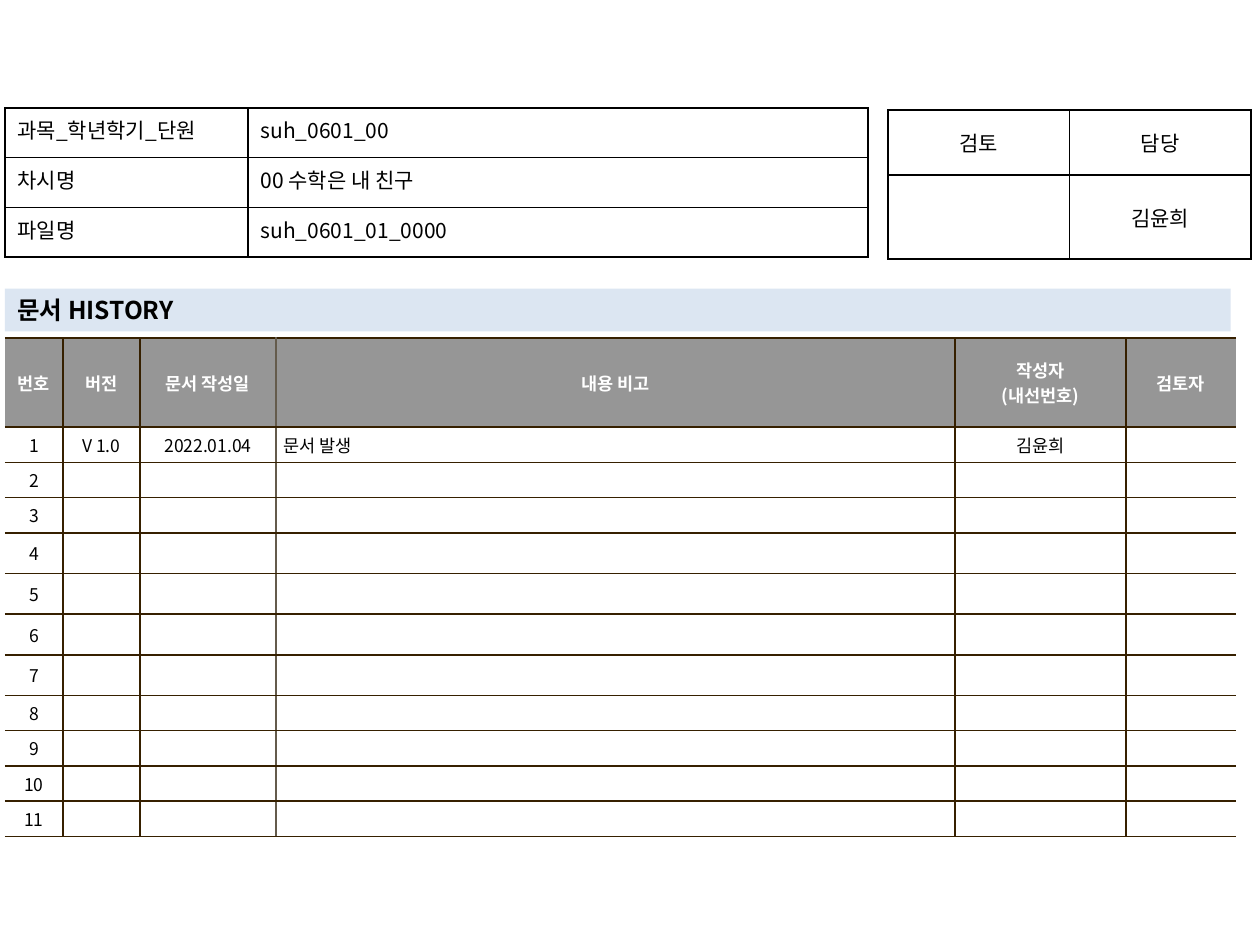
from lxml import etree
from pptx import Presentation
from pptx.dml.color import RGBColor
from pptx.enum.shapes import MSO_SHAPE
from pptx.enum.text import MSO_ANCHOR, PP_ALIGN
from pptx.oxml.ns import qn
from pptx.util import Cm, Pt

RECTANGLE = MSO_SHAPE.RECTANGLE
MIDDLE, TOP = MSO_ANCHOR.MIDDLE, MSO_ANCHOR.TOP
LEFT, CENTER, JUSTIFY = PP_ALIGN.LEFT, PP_ALIGN.CENTER, PP_ALIGN.JUSTIFY

BLACK = RGBColor(0x00, 0x00, 0x00)
WHITE = RGBColor(0xFF, 0xFF, 0xFF)
GRAY = RGBColor(0x96, 0x96, 0x96)
PALE_BLUE = RGBColor(0xDC, 0xE6, 0xF2)
BROWN = RGBColor(0x36, 0x20, 0x00)
LIGHT_BROWN = RGBColor(0x64, 0x5B, 0x4C)

FONT = "Noto Sans CJK KR"
BODY = {"size": Pt(12), "bold": False}
TITLE = {"size": Pt(14), "bold": True}
HISTORY_HEAD = {"size": Pt(10), "bold": True}
HISTORY_BODY = {"size": Pt(10), "bold": False}


def write(text_frame, text, formats, color=BLACK, align=LEFT):
    """Write one paragraph per line of text; an empty one keeps its size."""
    for index, line in enumerate(text.split("\n")):
        paragraph = text_frame.paragraphs[0] if index == 0 else text_frame.add_paragraph()
        paragraph.alignment = align
        if not line:
            end = etree.SubElement(paragraph._p, qn("a:endParaRPr"))
            end.set("sz", str(int(formats["size"].pt * 100)))
            continue
        run = paragraph.add_run()
        run.text = line
        for name, value in formats.items():
            setattr(run.font, name, value)
        run.font.color.rgb = color
        run.font.name = FONT
        east_asian = etree.SubElement(run._r.get_or_add_rPr(), qn("a:ea"))
        east_asian.set("typeface", FONT)


def set_borders(cell, left, right, top, bottom):
    """Draw the four sides of a cell; None leaves a side open."""
    properties = cell._tc.get_or_add_tcPr()
    sides = (("L", left), ("R", right), ("T", top), ("B", bottom))
    for index, (side, color) in enumerate(sides):
        line = etree.Element(qn("a:ln" + side), w=str(Pt(1)))
        if color is None:
            etree.SubElement(line, qn("a:noFill"))
        else:
            fill = etree.SubElement(line, qn("a:solidFill"))
            etree.SubElement(fill, qn("a:srgbClr"), val=str(color))
        properties.insert(index, line)


def add_plain_table(slide, left, top, widths, heights):
    """Add an unbanded table with the given column and row sizes in cm."""
    table = slide.shapes.add_table(
        len(heights), len(widths), Cm(left), Cm(top), Cm(sum(widths)), Cm(sum(heights))
    ).table
    table.first_row = table.horz_banding = False
    for column, width in zip(table.columns, widths):
        column.width = Cm(width)
    for row, height in zip(table.rows, heights):
        row.height = Cm(height)
    return table


def add_form_table(slide, left, top, widths, heights, texts, alignments, anchor):
    """Add a black-ruled form without fill."""
    table = add_plain_table(slide, left, top, widths, heights)
    for row, row_texts in enumerate(texts):
        for column, text in enumerate(row_texts):
            cell = table.cell(row, column)
            cell.fill.background()
            cell.vertical_anchor = anchor
            write(cell.text_frame, text, BODY, align=alignments[column])
            set_borders(cell, BLACK, BLACK, BLACK, BLACK)


def add_title_bar(slide, left, top, width, height):
    bar = slide.shapes.add_shape(RECTANGLE, Cm(left), Cm(top), Cm(width), Cm(height))
    bar.shadow.inherit = False
    bar.fill.solid()
    bar.fill.fore_color.rgb = PALE_BLUE
    bar.line.fill.background()
    bar.text_frame.word_wrap = True
    bar.text_frame.vertical_anchor = MIDDLE
    write(bar.text_frame, "문서 HISTORY", TITLE)


def add_history_table(slide, left, top):
    """Add the revision log: a header and eleven numbered rows."""
    widths = [1.17, 1.55, 2.74, 13.69, 3.45, 2.21]
    heights = [1.8] + [0.71] * 3 + [0.82] * 4 + [0.71] * 4
    rows = [
        ["번호", "버전", "문서 작성일", "내용 비고", "작성자\n(내선번호)", "검토자"],
        ["1", "V 1.0", "2022.01.04", "문서 발생", "김윤희", ""],
    ]
    rows += [[str(number)] + [""] * 5 for number in range(2, 12)]
    # Vertical rules from left to right; the outer sides stay open
    rules = [None, BROWN, BROWN, LIGHT_BROWN, BROWN, BROWN, None]

    table = add_plain_table(slide, left, top, widths, heights)
    for row, texts in enumerate(rows):
        is_head = row == 0
        for column, text in enumerate(texts):
            cell = table.cell(row, column)
            cell.fill.solid()
            cell.fill.fore_color.rgb = GRAY if is_head else WHITE
            cell.vertical_anchor = MIDDLE
            cell.margin_left = cell.margin_right = Cm(0.15)
            cell.margin_top = cell.margin_bottom = Cm(0.1)
            is_note = column == 3 and not is_head
            write(
                cell.text_frame,
                text,
                HISTORY_HEAD if is_head else HISTORY_BODY,
                WHITE if is_head else BLACK,
                LEFT if is_note else CENTER,
            )
            if is_note and text:
                note = cell.text_frame.paragraphs[0]._p.get_or_add_pPr()
                note.set("marL", str(Cm(0.48)))
                note.set("indent", str(-Cm(0.48)))
            set_borders(cell, rules[column], rules[column + 1], BROWN, BROWN)


def main():
    presentation = Presentation()
    presentation.slide_width, presentation.slide_height = Cm(25.4), Cm(19.05)
    slide = presentation.slides.add_slide(presentation.slide_layouts[6])

    # Revision log
    add_history_table(slide, 0.1, 6.81)

    # Approval box
    add_form_table(
        slide, 17.9, 2.22, [3.66, 3.66], [1.31, 1.69],
        [["검토", "담당"], ["", "김윤희"]], [CENTER, CENTER], MIDDLE,
    )

    # Heading of the log
    add_title_bar(slide, 0.1, 5.82, 24.71, 0.86)

    # Document details
    add_form_table(
        slide, 0.1, 2.18, [4.9, 12.5], [1] * 3,
        [
            ["과목_학년학기_단원", "suh_0601_00"],
            ["차시명", "00 수학은 내 친구"],
            ["파일명", "suh_0601_01_0000"],
        ],
        [JUSTIFY, LEFT], TOP,
    )
    presentation.save("out.pptx")


if __name__ == "__main__":
    main()
